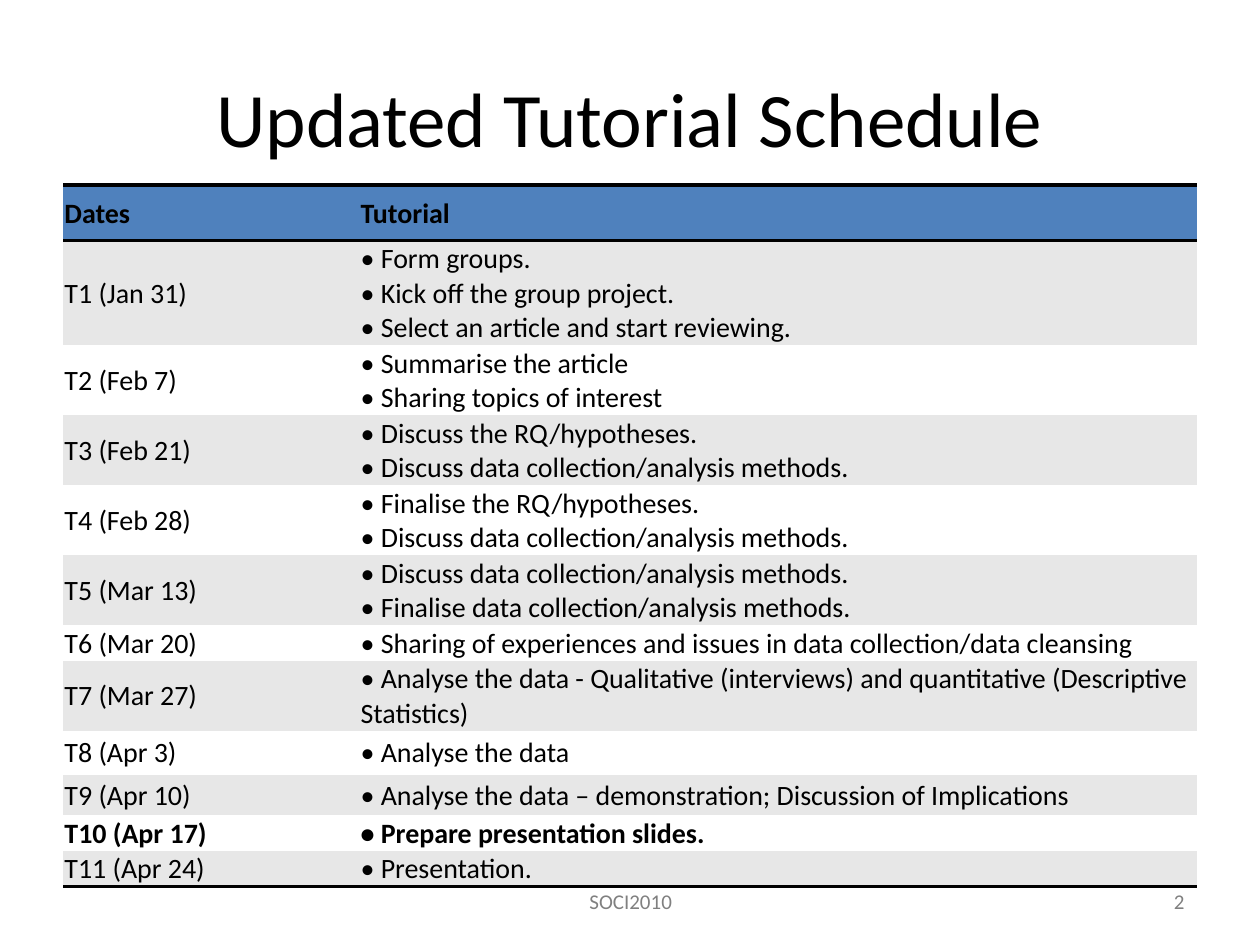
from lxml.etree import SubElement
from pptx import Presentation
from pptx.dml.color import RGBColor
from pptx.enum.text import MSO_ANCHOR, PP_ALIGN
from pptx.oxml.ns import qn
from pptx.util import Cm, Pt

BLACK = RGBColor(0x00, 0x00, 0x00)
WHITE = RGBColor(0xFF, 0xFF, 0xFF)
HEADER_BLUE = RGBColor(0x4F, 0x81, 0xBD)
BAND_GREY = RGBColor(0xE7, 0xE7, 0xE7)
FOOTER_GREY = RGBColor(0x80, 0x80, 0x80)
FONT = "Calibri"
NO_STYLE = "{2D5ABB26-0587-4C30-8999-92F81FD0307C}"

TITLE = "Updated Tutorial Schedule"
HEADINGS = ("Dates", "Tutorial")
SESSIONS = [
    ("T1 (Jan 31)", ["Form groups.", "Kick off the group project.",
                     "Select an article and start reviewing."]),
    ("T2 (Feb 7)", ["Summarise the article", "Sharing topics of interest"]),
    ("T3 (Feb 21)", ["Discuss the RQ/hypotheses.",
                     "Discuss data collection/analysis methods."]),
    ("T4 (Feb 28)", ["Finalise the RQ/hypotheses.",
                     "Discuss data collection/analysis methods."]),
    ("T5 (Mar 13)", ["Discuss data collection/analysis methods.",
                     "Finalise data collection/analysis methods."]),
    ("T6 (Mar 20)", ["Sharing of experiences and issues in data collection/data cleansing"]),
    ("T7 (Mar 27)", ["Analyse the data - Qualitative (interviews) and quantitative "
                     "(Descriptive Statistics)"]),
    ("T8 (Apr 3)", ["Analyse the data"]),
    ("T9 (Apr 10)", ["Analyse the data – demonstration; Discussion of Implications"]),
    ("T10 (Apr 17)", ["Prepare presentation slides."]),
    ("T11 (Apr 24)", ["Presentation."]),
]
NEXT_SESSION = "T10 (Apr 17)"
# text, left, width, alignment
FOOTERS = [
    ("SOCI2010", 8.69, 8.05, PP_ALIGN.CENTER),
    ("2", 18.21, 5.92, PP_ALIGN.RIGHT),
]

COLUMN_WIDTHS = (5.97, 16.89)
HEADER_HEIGHT = 1.12
LINE_HEIGHT = 0.67
TALLER_ROWS = {"T8 (Apr 3)": 0.89, "T9 (Apr 10)": 0.81}


def style(paragraph, size, color=BLACK, bold=False, align=None):
    font = paragraph.font
    font.name, font.size, font.bold = FONT, Pt(size), bold
    font.color.rgb = color
    paragraph.alignment = align


def add_rule(cell, side):
    """Draw a black 2 pt border on one side ("T" or "B") of a cell."""
    properties = cell._tc.get_or_add_tcPr()
    line = SubElement(properties, qn(f"a:ln{side}"), w=str(Pt(2)))
    SubElement(SubElement(line, qn("a:solidFill")), qn("a:srgbClr"), val=str(BLACK))


def fill_cell(cell, text, color, bold, rules):
    for side in rules:
        add_rule(cell, side)
    cell.fill.solid()
    cell.fill.fore_color.rgb = color
    cell.margin_left = cell.margin_right = cell.margin_top = Cm(0.03)
    cell.margin_bottom = 0
    cell.vertical_anchor = MSO_ANCHOR.MIDDLE
    paragraph = cell.text_frame.paragraphs[0]
    paragraph.text = text
    style(paragraph, 16, bold=bold)


def add_schedule(slide):
    heights = [HEADER_HEIGHT] + [
        TALLER_ROWS.get(date, LINE_HEIGHT * len(tasks)) for date, tasks in SESSIONS]
    frame = slide.shapes.add_table(
        len(heights), len(COLUMN_WIDTHS), Cm(1.27), Cm(3.73),
        Cm(sum(COLUMN_WIDTHS)), Cm(sum(heights)))
    table = frame.table
    table.horz_banding = False
    table._tbl.tblPr.find(qn("a:tableStyleId")).text = NO_STYLE
    for column, width in zip(table.columns, COLUMN_WIDTHS):
        column.width = Cm(width)
    for row, height in zip(table.rows, heights):
        row.height = Cm(height)

    for column, heading in enumerate(HEADINGS):
        fill_cell(table.cell(0, column), heading, HEADER_BLUE, True, "TB")
    for row, (date, tasks) in enumerate(SESSIONS, start=1):
        band = BAND_GREY if row % 2 else WHITE
        rules = "B" if row == len(SESSIONS) else ""
        task_lines = "\n".join(f"• {task}" for task in tasks)
        for column, text in enumerate((date, task_lines)):
            fill_cell(table.cell(row, column), text, band, date == NEXT_SESSION, rules)


def add_footer(slide, text, left, width, align):
    frame = slide.shapes.add_textbox(Cm(left), Cm(17.65), Cm(width), Cm(1.02)).text_frame
    frame.word_wrap = True
    frame.vertical_anchor = MSO_ANCHOR.MIDDLE
    paragraph = frame.paragraphs[0]
    paragraph.text = text
    paragraph.space_after = Pt(6)
    style(paragraph, 12, FOOTER_GREY, align=align)


def main():
    deck = Presentation()
    deck.slide_width, deck.slide_height = Cm(25.4), Cm(19.05)
    slide = deck.slides.add_slide(deck.slide_layouts[5])

    title = slide.shapes.title
    title.left, title.top, title.width, title.height = Cm(1.27), Cm(0.76), Cm(22.86), Cm(3.18)
    title.text_frame.text = TITLE
    title.text_frame.vertical_anchor = MSO_ANCHOR.MIDDLE
    style(title.text_frame.paragraphs[0], 44, align=PP_ALIGN.CENTER)

    add_schedule(slide)
    for footer in FOOTERS:
        add_footer(slide, *footer)
    deck.save("out.pptx")


if __name__ == "__main__":
    main()
